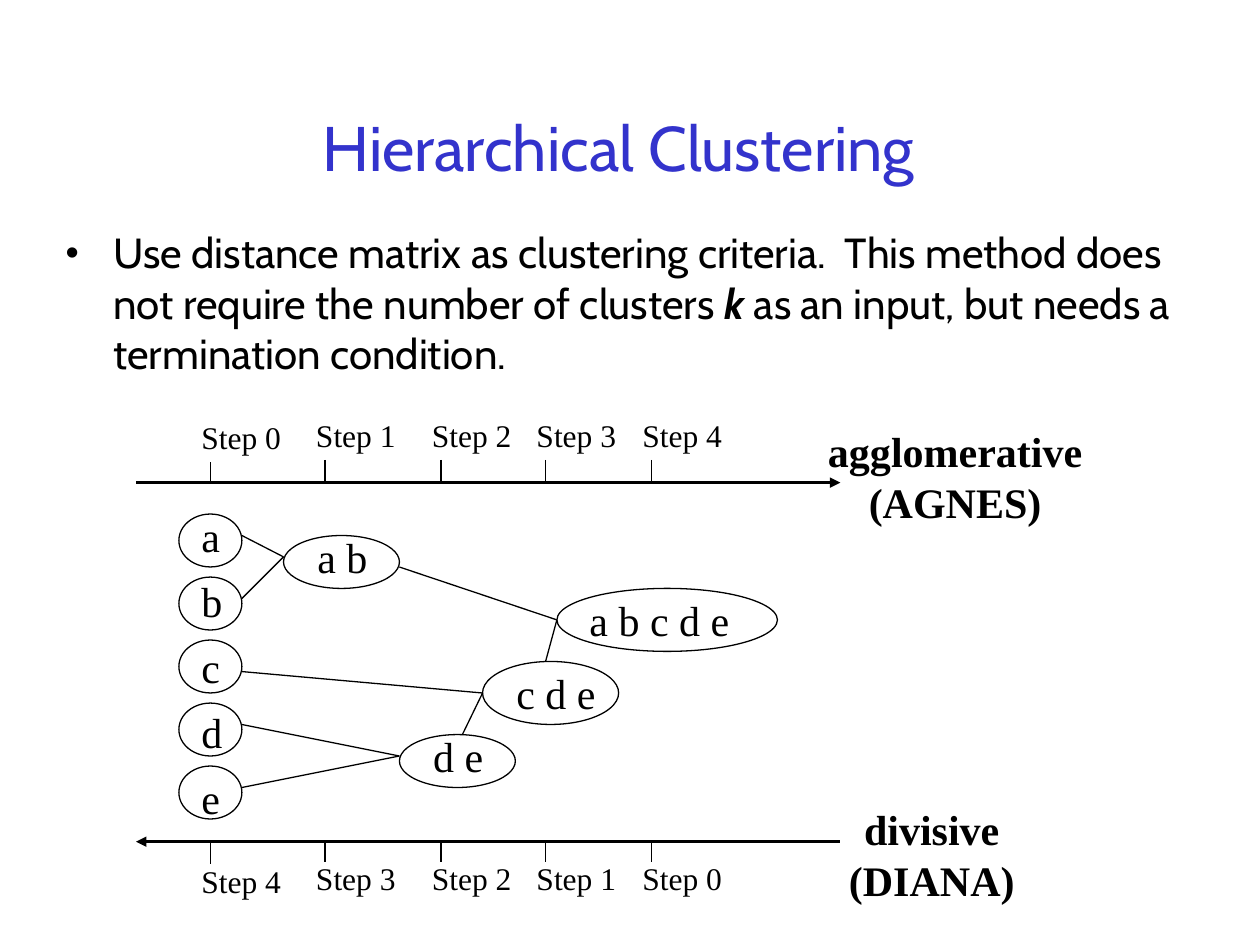
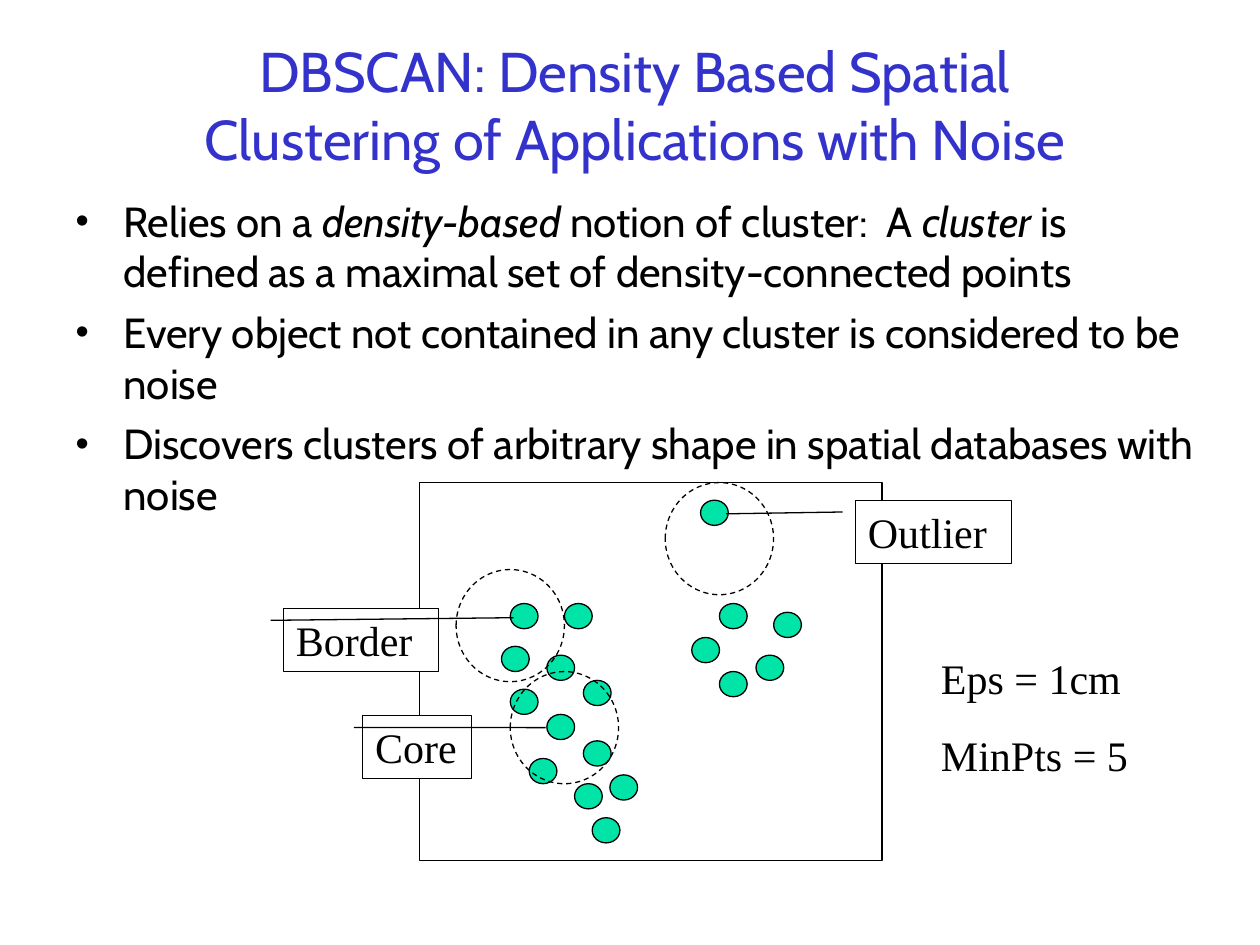
from typing import NamedTuple

from lxml import etree
from pptx import Presentation
from pptx.dml.color import RGBColor
from pptx.enum.dml import MSO_LINE
from pptx.enum.shapes import MSO_CONNECTOR, MSO_SHAPE
from pptx.enum.text import MSO_ANCHOR as Anchor, MSO_AUTO_SIZE as AutoSize, PP_ALIGN as Align
from pptx.oxml.ns import qn
from pptx.util import Inches, Pt

BLUE, BLACK, WHITE, GREEN = "3333CC", "000000", "FFFFFF", "00E4A8"
HEADING_FONT, DIAGRAM_FONT = "Cabin", "Times New Roman"
TITLE_AND_CONTENT = 1


class Box(NamedTuple):
    left: float
    top: float
    width: float
    height: float

    def lengths(self) -> list:
        return [Inches(value) for value in self]


class Run(NamedTuple):
    text: str
    bold: bool = False
    italic: bool = False


class Cluster(NamedTuple):
    name: str
    label: Box
    outline: Box


class TimeAxis(NamedTuple):
    y: float
    tick_top: float
    label_top: float
    steps: range
    arrow_end: str
    caption: list
    caption_box: Box


class Callout(NamedTuple):
    text: str
    box: Box
    adjustments: tuple


STEP_X = (1.67, 2.58, 3.5, 4.33, 5.17)
AXES = (
    TimeAxis(3.83, 3.65, 3.25, range(5), "tailEnd", ["agglomerative", "(AGNES)"],
             Box(6.47, 3.33, 2.22, 0.9)),
    TimeAxis(6.68, 6.67, 6.77, range(4, -1, -1), "headEnd", ["divisive", "(DIANA)"],
             Box(6.59, 6.33, 1.61, 0.9)),
)
CLUSTERS = [
    Cluster(name, Box(1.5, 4 + 0.52 * row, 0.35, 0.5), Box(1.42, 4.08 + 0.5 * row, 0.5, 0.42))
    for row, name in enumerate("abcde")
] + [
    Cluster("a b", Box(2.42, 4.17, 0.6, 0.5), Box(2.25, 4.25, 0.92, 0.42)),
    Cluster("d e", Box(3.34, 5.75, 0.6, 0.5), Box(3.17, 5.83, 0.92, 0.42)),
    Cluster("c d e", Box(4, 5.25, 0.83, 0.5), Box(3.83, 5.25, 1.08, 0.5)),
    Cluster("a b c d e", Box(4.58, 4.67, 1.31, 0.5), Box(4.42, 4.67, 1.75, 0.5)),
]
# Each merge point with the starts of the lines that meet there.
MERGES = {
    (2.25, 4.42): [(1.92, 4.25), (1.92, 4.75)],
    (3.17, 6): [(1.92, 5.75), (1.92, 6.25)],
    (3.83, 5.5): [(1.92, 5.33), (3.67, 5.83)],
    (4.42, 4.92): [(3.17, 4.5), (4.33, 5.25)],
}

POINTS = (
    (4.05, 4.79), (3.98, 5.13), (4.34, 5.2), (4.48, 4.79), (4.63, 5.4), (4.05, 5.47),
    (4.34, 5.67), (4.2, 6.02), (4.56, 6.22), (4.7, 6.49), (4.63, 5.88), (4.84, 6.15),
    (5.56, 3.97), (5.71, 4.79), (5.49, 5.06), (6, 5.2), (6.14, 4.86), (5.71, 5.33),
)
NEIGHBOURHOODS = ((3.62, 4.52), (4.05, 5.33), (5.28, 3.83))
CALLOUTS = (
    Callout("Core", Box(2.88, 5.68, 0.86, 0.5), (0.188, -0.083, 0.191, 1.687)),
    Callout("Border", Box(2.25, 4.83, 1.23, 0.5), (0.188, -0.083, 0.146, 1.485)),
    Callout("Outlier", Box(6.79, 3.97, 1.24, 0.5), (0.188, -0.083, 0.217, -0.828)),
)


def rgb(color: str) -> RGBColor:
    return RGBColor.from_string(color)


def write_text(frame, paragraphs: list, *, size: float = 24, font: str = DIAGRAM_FONT,
               color: str = BLACK, bold: bool = False, align=Align.LEFT, gap: float = 0,
               bulleted: bool = False, anchor=Anchor.TOP, wrap: bool = True,
               auto_size=AutoSize.SHAPE_TO_FIT_TEXT) -> None:
    """Fill a frame; a paragraph is a string or a list of Run, with gap points between."""
    frame.word_wrap = wrap
    frame.auto_size = auto_size
    frame.vertical_anchor = anchor
    for index, content in enumerate(paragraphs):
        paragraph = frame.add_paragraph() if index else frame.paragraphs[0]
        paragraph.alignment = align
        paragraph.space_before = Pt(gap if index else 0)
        if bulleted:
            add_bullet(paragraph)
        for part in [Run(content, bold)] if isinstance(content, str) else content:
            run = paragraph.add_run()
            run.text = part.text
            run.font.name, run.font.size = font, Pt(size)
            run.font.bold, run.font.italic = part.bold, part.italic
            run.font.color.rgb = rgb(color)


def add_bullet(paragraph) -> None:
    properties = paragraph._p.get_or_add_pPr()
    properties.set("marL", str(Inches(0.38)))
    properties.set("indent", str(-Inches(0.38)))
    bullet_color = etree.SubElement(properties, qn("a:buClr"))
    etree.SubElement(bullet_color, qn("a:srgbClr"), val=BLACK)
    etree.SubElement(properties, qn("a:buSzPct"), val="90000")
    etree.SubElement(properties, qn("a:buChar"), char="•")


def add_label(shapes, box: Box, paragraphs: list, **text_format) -> None:
    write_text(shapes.add_textbox(*box.lengths()).text_frame, paragraphs, **text_format)


def add_outline(shapes, kind, box: Box, fill: str = "", dashed: bool = False):
    shape = shapes.add_shape(kind, *box.lengths())
    shape.shadow.inherit = False
    if fill:
        shape.fill.solid()
        shape.fill.fore_color.rgb = rgb(fill)
    else:
        shape.fill.background()
    shape.line.color.rgb = rgb(BLACK)
    shape.line.width = Pt(0.75)
    if dashed:
        shape.line.dash_style = MSO_LINE.DASH
    return shape


def add_line(shapes, start: tuple, end: tuple, width: float = 0.75, arrow_end: str = "") -> None:
    """Draw a straight line; arrow_end is headEnd, tailEnd or empty."""
    ends = [Inches(value) for value in (*start, *end)]
    connector = shapes.add_connector(MSO_CONNECTOR.STRAIGHT, *ends)
    connector.line.color.rgb = rgb(BLACK)
    connector.line.width = Pt(width)
    if arrow_end:
        etree.SubElement(connector.line._get_or_add_ln(), qn(f"a:{arrow_end}"), type="triangle")
    etree.SubElement(connector._element.spPr, qn("a:effectLst"))


def place(shape, box: Box) -> None:
    shape.left, shape.top, shape.width, shape.height = box.lengths()


def add_content_slide(presentation, title: str, title_box: Box, title_size: float,
                      title_anchor, bullets: list, body_box: Box):
    slide = presentation.slides.add_slide(presentation.slide_layouts[TITLE_AND_CONTENT])
    heading, body = slide.shapes.title, slide.placeholders[1]
    place(heading, title_box)
    write_text(heading.text_frame, [title], size=title_size, font=HEADING_FONT, color=BLUE,
               align=Align.CENTER, anchor=title_anchor, auto_size=AutoSize.NONE)
    place(body, body_box)
    write_text(body.text_frame, bullets, font=HEADING_FONT, gap=6, bulleted=True,
               auto_size=AutoSize.NONE)
    return slide


def add_time_axis(shapes, axis: TimeAxis) -> None:
    add_line(shapes, (1.08, axis.y), (6.67, axis.y), 1.5, axis.arrow_end)
    for index, (x, step) in enumerate(zip(STEP_X, axis.steps)):
        nudge = 0 if index else 0.02
        tick_top = axis.tick_top + nudge
        add_line(shapes, (x, tick_top), (x, tick_top + 0.17))
        label_box = Box(x - 0.17, axis.label_top + nudge, 0.83, 0.4)
        add_label(shapes, label_box, [f"Step {step}"], size=18)
    add_label(shapes, axis.caption_box, axis.caption, bold=True, align=Align.CENTER, wrap=False)


def build_hierarchical_slide(presentation) -> None:
    criteria = [
        Run("Use distance matrix as clustering criteria.  This method does not require "
            "the number of clusters "),
        Run("k", bold=True, italic=True),
        Run(" as an input, but needs a termination condition."),
    ]
    slide = add_content_slide(
        presentation, "Hierarchical Clustering", Box(0.92, 0.92, 7.98, 0.48), 36,
        Anchor.MIDDLE, [criteria], Box(0.42, 1.75, 9.08, 5.33))
    shapes = slide.shapes.add_group_shape().shapes
    for axis in AXES:
        add_time_axis(shapes, axis)
    for cluster in CLUSTERS:
        add_label(shapes, cluster.label, [cluster.name], wrap=False)
        add_outline(shapes, MSO_SHAPE.OVAL, cluster.outline)
    for merge_point, starts in MERGES.items():
        for start in starts:
            add_line(shapes, start, merge_point)


def build_dbscan_slide(presentation) -> None:
    bullets = [
        [Run("Relies on a "), Run("density-based", italic=True),
         Run(" notion of cluster:  A "), Run("cluster", italic=True),
         Run(" is defined as a maximal set of density-connected points")],
        "Every object not contained in any cluster is considered to be noise",
        "Discovers clusters of arbitrary shape in spatial databases with noise",
    ]
    slide = add_content_slide(
        presentation, "DBSCAN: Density Based Spatial Clustering of Applications with Noise",
        Box(1.08, 0.33, 7.92, 1.08), 32, Anchor.BOTTOM, bullets, Box(0.5, 1.5, 9.08, 5.67))
    shapes = slide.shapes.add_group_shape().shapes
    for left, top in POINTS:
        add_outline(shapes, MSO_SHAPE.OVAL, Box(left, top, 0.22, 0.2), fill=GREEN)
    add_outline(shapes, MSO_SHAPE.RECTANGLE, Box(3.33, 3.83, 3.67, 3))
    for left, top in NEIGHBOURHOODS:
        add_outline(shapes, MSO_SHAPE.OVAL, Box(left, top, 0.86, 0.89), dashed=True)
    for callout in CALLOUTS:
        shape = add_outline(shapes, MSO_SHAPE.LINE_CALLOUT_1, callout.box, fill=WHITE)
        for index, value in enumerate(callout.adjustments):
            shape.adjustments[index] = value
        write_text(shape.text_frame, [callout.text])
    add_label(shapes, Box(7.37, 5.13, 1.8, 1.11), ["Eps = 1cm", "MinPts = 5"], gap=15)


def main() -> None:
    presentation = Presentation()
    presentation.slide_width, presentation.slide_height = Inches(10), Inches(7.5)
    build_hierarchical_slide(presentation)
    build_dbscan_slide(presentation)
    presentation.save("out.pptx")


if __name__ == "__main__":
    main()
